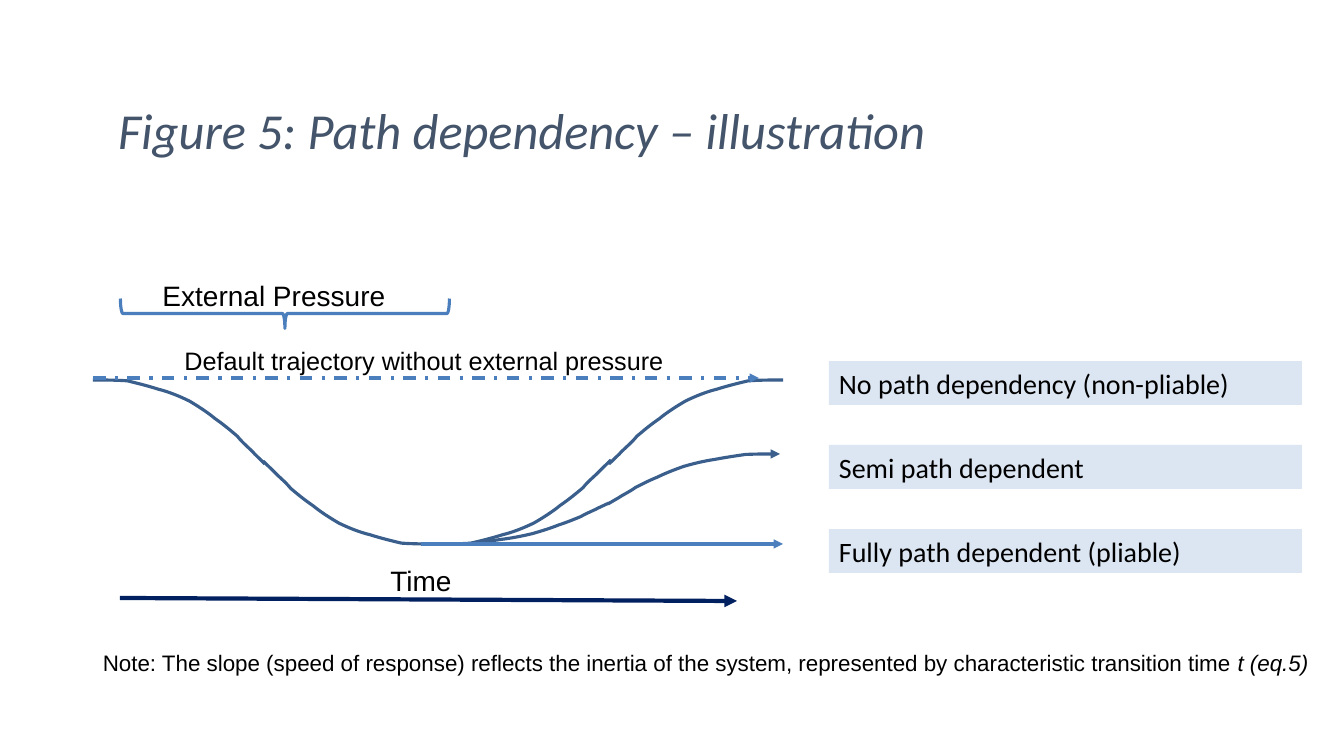
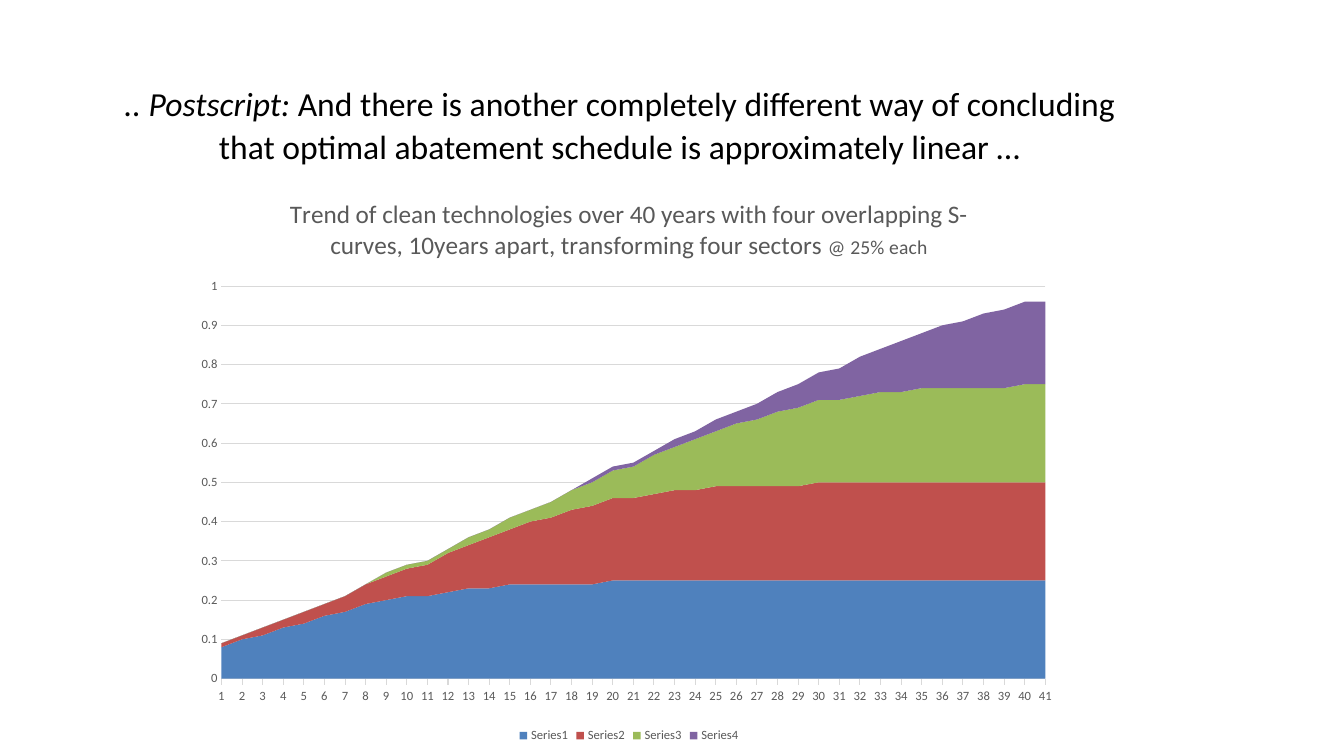
"""Build two slides on path dependency: a trajectory diagram and a stacked area chart."""
import dataclasses

import lxml.etree
import pptx
import pptx.chart.data
import pptx.dml.color
import pptx.enum.chart
import pptx.enum.dml
import pptx.enum.shapes
import pptx.enum.text
import pptx.oxml.ns
import pptx.util

EMU_PER_PX = 12192000 / 1344
ALIGN = pptx.enum.text.PP_ALIGN
ANCHOR = pptx.enum.text.MSO_ANCHOR
SHAPE = pptx.enum.shapes.MSO_SHAPE
qn = pptx.oxml.ns.qn


@dataclasses.dataclass(frozen=True)
class Theme:
    """Fonts, colours and type sizes shared by the slides."""
    title_font: str = "Calibri"
    label_font: str = "Arial"
    text: str = "000000"
    title: str = "44546A"
    curve: str = "3A5F8C"
    line: str = "4B7EBC"
    time: str = "002060"
    outcome: str = "DCE6F2"
    chart_text: str = "595959"
    grid: str = "D9D9D9"
    series: tuple = ("4F81BD", "C0504D", "9BBB59", "8064A2")
    figure_title_size: int = 36
    postscript_size: int = 24
    label_size: int = 20
    trajectory_size: int = 18
    note_size: int = 16
    chart_title_size: int = 18
    chart_detail_size: int = 14
    chart_label_size: int = 9
    line_width: float = 2.25
    time_width: float = 3
    grid_width: float = 0.75


THEME = Theme()

HALF_CURVE = (
    (0, 0), (6, 0), (13, 0), (20, 1), (26, 4), (32, 7), (38, 11), (44, 14),
    (50, 19), (56, 25), (61, 31), (67, 39), (71, 46), (76, 53), (80, 60),
    (84, 67), (87, 75), (92, 83), (94, 88), (97, 94), (99, 98), (100, 100),
)

OUTCOMES = (
    "No path dependency (non-pliable)",
    "Semi path dependent",
    "Fully path dependent (pliable)",
)

YEARS = 41
SECTOR_DELAY = 10
S_CURVE = (
    [0] * 18 + [0.01] * 4 + [0.02] * 2 + [0.03] * 2
    + [0.04, 0.05, 0.06, 0.07, 0.08, 0.1, 0.11, 0.13, 0.14, 0.16, 0.17, 0.19, 0.2]
    + [0.21] * 2 + [0.22] + [0.23] * 2 + [0.24] * 5 + [0.25] * 22
)


def px(length):
    """Turn pixels into EMU."""
    return round(length * EMU_PER_PX)


def rgb(colour):
    """Turn a hex string into a colour."""
    return pptx.dml.color.RGBColor.from_string(colour)


def style_font(font, name, size, colour, italic=False):
    """Set the family, size, colour and slant of a font."""
    font.name = name
    font.size = pptx.util.Pt(size)
    font.bold = False
    font.italic = italic
    font.color.rgb = rgb(colour)


def write(frame, spans, name, size, colour=THEME.text, align=ALIGN.LEFT, anchor=ANCHOR.TOP):
    """Fill a text frame with one paragraph of (text, italic) spans."""
    frame.word_wrap = True
    frame.auto_size = pptx.enum.text.MSO_AUTO_SIZE.NONE
    frame.vertical_anchor = anchor
    para = frame.paragraphs[0]
    para.alignment = align
    for text, italic in spans:
        span = para.add_run()
        span.text = text
        style_font(span.font, name, size, colour, italic)
    return para


def add_titled_slide(deck, box, spans, size, colour, align):
    """Add a title-only slide and place and format its title."""
    page = deck.slides.add_slide(deck.slide_layouts[5])
    title = page.shapes.title
    title.left, title.top, title.width, title.height = map(px, box)
    para = write(title.text_frame, spans, THEME.title_font, size, colour, align)
    return page, para


def add_label(page, box, spans, size=THEME.label_size, align=ALIGN.CENTER):
    """Add a plain text label."""
    label = page.shapes.add_textbox(*map(px, box))
    write(label.text_frame, spans, THEME.label_font, size, align=align)


def style_line(line, colour, width=THEME.line_width):
    """Set the colour and width of a line."""
    line.color.rgb = rgb(colour)
    line.width = pptx.util.Pt(width)


def add_arrowhead(shape, end):
    """Put a triangle on the headEnd or tailEnd of an outline."""
    outline = shape.element.spPr.find(qn("a:ln"))
    lxml.etree.SubElement(outline, qn("a:" + end), type="triangle")


def add_arrow(page, start, finish, colour, width=THEME.line_width, dash=None):
    """Add a straight arrow from start to finish."""
    arrow = page.shapes.add_connector(
        pptx.enum.shapes.MSO_CONNECTOR.STRAIGHT, *map(px, start + finish))
    style_line(arrow.line, colour, width)
    if dash:
        arrow.line.dash_style = dash
    add_arrowhead(arrow, "tailEnd")
    lxml.etree.SubElement(arrow.element.spPr, qn("a:effectLst"))


def add_half_curve(page, start, finish, arrowhead=False):
    """Add half an S-curve, flat at start and steep at finish."""
    points = [
        tuple(px(a + (b - a) * share / 100) for a, b, share in zip(start, finish, shares))
        for shares in HALF_CURVE
    ]
    builder = page.shapes.build_freeform(*points[0])
    builder.add_line_segments(points[1:], close=False)
    curve = builder.convert_to_shape()
    segments = list(curve.element.iter(qn("a:lnTo")))
    for first, *others in zip(segments[::3], segments[1::3], segments[2::3]):
        first.tag = qn("a:cubicBezTo")
        for other in others:
            first.append(other[0])
            other.getparent().remove(other)
    curve.shadow.inherit = False
    curve.fill.background()
    style_line(curve.line, THEME.curve)
    if arrowhead:
        add_arrowhead(curve, "headEnd")


def add_brace(page, box):
    """Add a brace that points down."""
    brace = page.shapes.add_shape(SHAPE.LEFT_BRACE, *map(px, box))
    brace.rotation = 270
    brace.shadow.inherit = False
    brace.fill.background()
    style_line(brace.line, THEME.line)


def add_outcome(page, box, text):
    """Add a tinted box that names an outcome."""
    outcome = page.shapes.add_shape(SHAPE.RECTANGLE, *map(px, box))
    outcome.shadow.inherit = False
    outcome.fill.solid()
    outcome.fill.fore_color.rgb = rgb(THEME.outcome)
    outcome.line.fill.background()
    write(outcome.text_frame, [(text, False)], THEME.title_font, THEME.label_size,
          anchor=ANCHOR.MIDDLE)


def build_path_slide(deck):
    """Build the path dependency diagram."""
    page, para = add_titled_slide(
        deck, (108, 94, 837, 72), [("Figure 5: Path dependency – illustration", True)],
        THEME.figure_title_size, THEME.title, ALIGN.LEFT)
    para.space_after = pptx.util.Pt(10)

    add_half_curve(page, (93, 380), (265, 464))
    add_half_curve(page, (436, 544), (263, 461))
    add_half_curve(page, (783, 380), (609, 464))
    add_half_curve(page, (436, 544), (611, 460))
    add_half_curve(page, (780, 454), (608, 504), arrowhead=True)
    add_half_curve(page, (434, 544), (609, 503))
    add_arrow(page, (421, 544), (783, 544), THEME.line)
    add_arrow(page, (120, 598), (737, 601), THEME.time, THEME.time_width)
    add_arrow(page, (93, 378), (759, 378), THEME.line,
              dash=pptx.enum.dml.MSO_LINE.DASH_DOT)

    add_brace(page, (270, 149, 30, 329))
    add_label(page, (147, 274, 254, 44), [("External Pressure", False)])
    add_label(page, (294, 559, 254, 44), [("Time", False)])
    add_label(page, (102, 340, 644, 40),
              [("Default trajectory without external pressure", False)],
              THEME.trajectory_size)
    add_label(page, (93, 644, 1235, 65),
              [("Note: The slope (speed of response) reflects the inertia of the system, "
                "represented by characteristic transition time ", False),
               ("t (eq.5)", True)], THEME.note_size, ALIGN.LEFT)
    for index, text in enumerate(OUTCOMES):
        add_outcome(page, (829, 361 + 84 * index, 473, 44), text)


def style_axes(chart):
    """Format both axes and the gridlines."""
    ticks = pptx.enum.chart.XL_TICK_MARK
    years, share = chart.category_axis, chart.value_axis
    for axis in (years, share):
        style_font(axis.tick_labels.font, THEME.title_font, THEME.chart_label_size,
                   THEME.chart_text)
        axis.minor_tick_mark = ticks.NONE
    years.major_tick_mark = ticks.OUTSIDE
    years.has_major_gridlines = False
    style_line(years.format.line, THEME.grid, THEME.grid_width)
    share.major_tick_mark = ticks.NONE
    share.minimum_scale, share.maximum_scale, share.major_unit = 0, 1, 0.1
    share.tick_labels.number_format = "General"
    share.tick_labels.number_format_is_linked = False
    share.format.line.fill.background()
    share.has_major_gridlines = True
    style_line(share.major_gridlines.format.line, THEME.grid, THEME.grid_width)
    chart.element.find(".//" + qn("c:crossBetween")).set("val", "midCat")


def place_plot(chart, **fractions):
    """Fix the inner plot area as fractions of the chart."""
    area = chart.element.find(".//" + qn("c:plotArea"))
    for old in area.findall(qn("c:layout")):
        area.remove(old)
    layout = lxml.etree.Element(qn("c:layout"))
    area.insert(0, layout)
    manual = lxml.etree.SubElement(layout, qn("c:manualLayout"))
    settings = {"layoutTarget": "inner", "xMode": "edge", "yMode": "edge", **fractions}
    for name, value in settings.items():
        lxml.etree.SubElement(manual, qn("c:" + name), val=str(value))


def add_trend_chart(page, box):
    """Add the stacked area chart of four delayed S-curves."""
    data = pptx.chart.data.CategoryChartData()
    data.categories = [str(year) for year in range(1, YEARS + 1)]
    for index in range(len(THEME.series)):
        start = SECTOR_DELAY * (len(THEME.series) - 1 - index)
        data.add_series(f"Series{index + 1}", S_CURVE[start:start + YEARS])
    chart = page.shapes.add_chart(
        pptx.enum.chart.XL_CHART_TYPE.AREA_STACKED, *map(px, box), data).chart
    style_font(chart.font, THEME.title_font, THEME.chart_label_size, THEME.chart_text)
    plot = chart.plots[0]
    plot.vary_by_categories = False
    for series, colour in zip(plot.series, THEME.series):
        series.format.fill.solid()
        series.format.fill.fore_color.rgb = rgb(colour)

    chart.has_title = True
    para = chart.chart_title.text_frame.paragraphs[0]
    for text, size in (
        ("Trend of clean technologies over 40 years with four overlapping S-curves, "
         "10years apart, transforming four sectors ", THEME.chart_title_size),
        ("@ 25% each", THEME.chart_detail_size),
    ):
        span = para.add_run()
        span.text = text
        style_font(span.font, THEME.title_font, size, THEME.chart_text)
    chart.chart_title.include_in_layout = False

    chart.has_legend = True
    chart.legend.position = pptx.enum.chart.XL_LEGEND_POSITION.BOTTOM
    chart.legend.include_in_layout = False
    style_font(chart.legend.font, THEME.title_font, THEME.chart_label_size, THEME.chart_text)
    style_axes(chart)
    place_plot(chart, x=0.04, y=0.19, w=0.93, h=0.69)


def build_postscript_slide(deck):
    """Build the slide with the trend chart."""
    page, para = add_titled_slide(
        deck, (86, 75, 1067, 96),
        [(".. Postscript: ", True),
         ("And there is another completely different way of concluding that optimal "
          "abatement schedule is approximately linear …", False)],
        THEME.postscript_size, THEME.text, ALIGN.CENTER)
    para.line_spacing = 1.07
    para.space_after = pptx.util.Pt(8)
    add_trend_chart(page, (186, 178, 886, 569))


def main():
    """Build and save the deck."""
    deck = pptx.Presentation()
    deck.slide_width, deck.slide_height = px(1344), px(756)
    build_path_slide(deck)
    build_postscript_slide(deck)
    deck.save("out.pptx")


if __name__ == "__main__":
    main()
